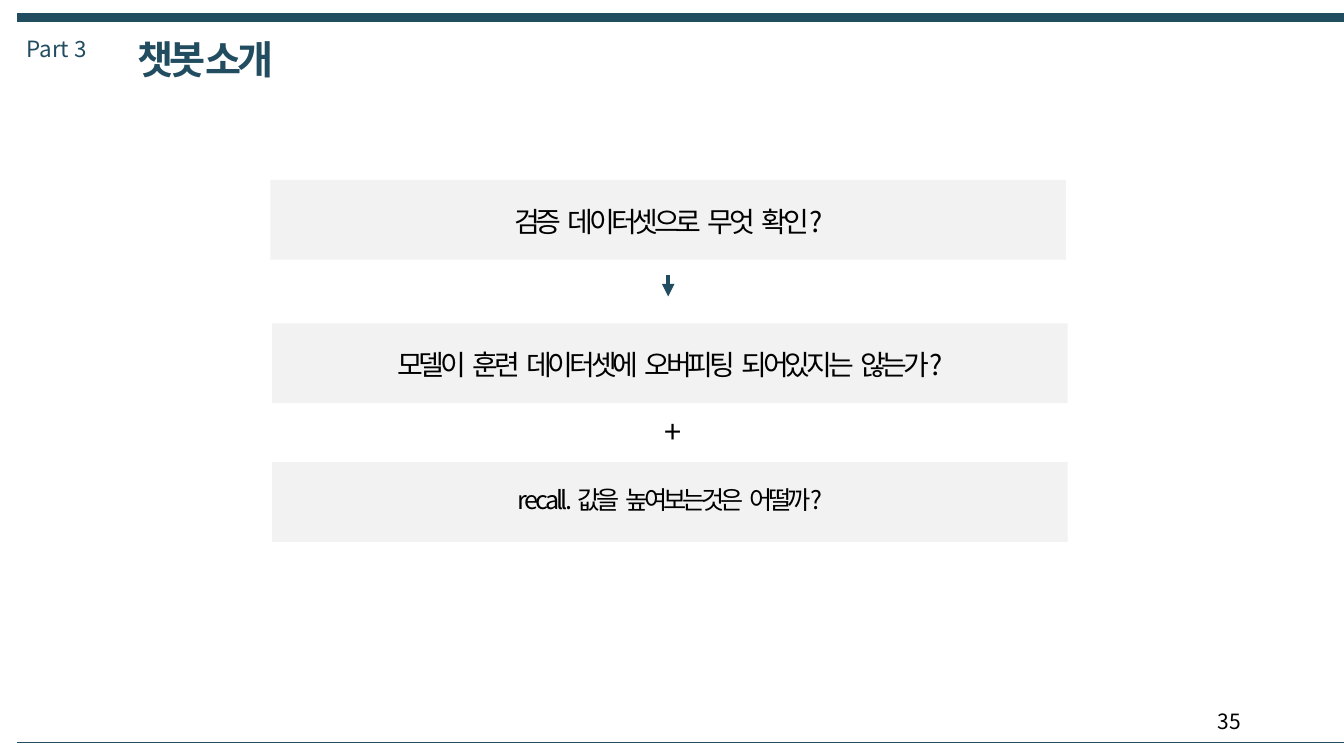
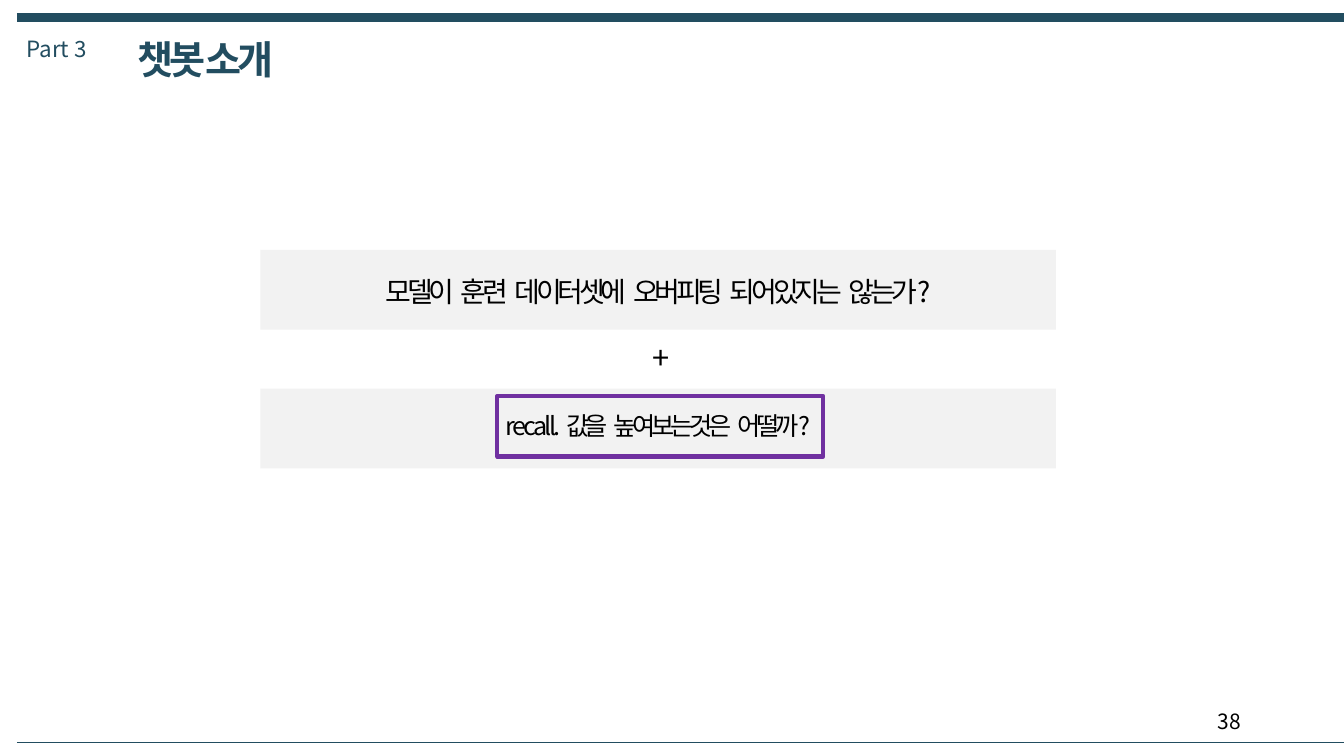
from dataclasses import dataclass
from typing import NamedTuple, Optional

import lxml.etree
import pptx
import pptx.dml.color
import pptx.enum.shapes
import pptx.enum.text
import pptx.oxml.ns
import pptx.slide
import pptx.util

COLUMNS, ROWS = 160, 90
CELL = pptx.util.Inches(1) // 12
ALIGN = pptx.enum.text.PP_ALIGN
ANCHOR = pptx.enum.text.MSO_ANCHOR


@dataclass(frozen=True)
class Theme:
    font: str = "Noto Sans CJK KR"
    teal: str = "224D60"
    panel: str = "F2F2F2"
    ink: str = "000000"
    purple: str = "7030A0"
    part_size: int = 16
    title_size: int = 28
    number_size: int = 15
    question_size: int = 20
    idea_size: int = 18
    plus_size: int = 22
    band: float = 6
    rule: float = 0.25
    stroke: float = 3
    tight: float = -3
    word_gap: float = -1.5


THEME = Theme()


class Frame(NamedTuple):
    """A rectangle in grid columns and rows."""
    left: float
    top: float
    width: float
    height: float


class Style(NamedTuple):
    size: int
    color: str = THEME.ink
    align: Optional[ALIGN] = None
    bold: bool = False
    tracking: float = 0
    gap: float = 0


class Panel(NamedTuple):
    text: str
    style: Style
    inset: float
    height: float


class Page(NamedTuple):
    number: int
    left: float
    top: float
    opening: bool
    highlight: bool


PART = Style(THEME.part_size, THEME.teal)
TITLE = Style(THEME.title_size, THEME.teal, bold=True, tracking=THEME.tight, gap=THEME.tight)
NUMBER = Style(THEME.number_size, align=ALIGN.RIGHT)
QUESTION = Style(THEME.question_size, align=ALIGN.CENTER, tracking=THEME.tight, gap=THEME.word_gap)
IDEA = QUESTION._replace(size=THEME.idea_size)
PLUS = Style(THEME.plus_size)

PANEL_WIDTH, PANEL_HEIGHT, PANEL_PITCH = 94.7, 9.5, 16.5
EDGE = 2
OPENING = Panel("검증 데이터셋으로 무엇 확인?", QUESTION, 2.3, 5.3)
PANELS = (
    Panel("모델이 훈련 데이터셋에 오버피팅 되어있지는 않는가?", QUESTION, 2.3, 5.3),
    Panel("recall. 값을 높여보는것은 어떨까?", IDEA, 2.05, 4.8),
)
PAGES = (
    Page(35, 32.4, 38.5, opening=True, highlight=False),
    Page(38, 31, 29.75, opening=False, highlight=True),
)


def cells(*lengths: float) -> list[pptx.util.Emu]:
    return [pptx.util.Emu(round(length * CELL)) for length in lengths]


def rgb(color: str) -> pptx.dml.color.RGBColor:
    return pptx.dml.color.RGBColor.from_string(color)


def add_span(para, text: str, style: Style, tracking: float) -> None:
    span = para.add_run()
    span.text = text
    formats = {"name": THEME.font, "size": pptx.util.Pt(style.size), "bold": style.bold}
    for name, value in formats.items():
        setattr(span.font, name, value)
    span.font.color.rgb = rgb(style.color)
    properties = span.font._element
    if tracking:
        properties.set("spc", str(round(tracking * 100)))
    east_asian = lxml.etree.SubElement(properties, pptx.oxml.ns.qn("a:ea"))
    east_asian.set("typeface", THEME.font)


def add_text(page: pptx.slide.Slide, frame: Frame, text: str, style: Style,
             wrap: bool = True, anchor: ANCHOR = ANCHOR.TOP, grow: bool = True) -> None:
    box = page.shapes.add_textbox(*cells(*frame))
    fit = pptx.enum.text.MSO_AUTO_SIZE
    formats = {"word_wrap": wrap, "vertical_anchor": anchor,
               "auto_size": fit.SHAPE_TO_FIT_TEXT if grow else fit.NONE}
    for name, value in formats.items():
        setattr(box.text_frame, name, value)
    para = box.text_frame.paragraphs[0]
    para.alignment = style.align
    if style.tracking == style.gap:
        add_span(para, text, style, style.tracking)
        return
    for index, word in enumerate(text.split(" ")):
        if index:
            add_span(para, " ", style, style.gap)
        tracking = style.tracking if not word.isascii() else style.tracking + 1
        add_span(para, word, style, tracking)


def add_line(page: pptx.slide.Slide, start: tuple[float, float], end: tuple[float, float],
             width: float, arrow: bool = False) -> None:
    line = page.shapes.add_connector(
        pptx.enum.shapes.MSO_CONNECTOR.STRAIGHT, *cells(*start, *end))
    line.line.color.rgb = rgb(THEME.teal)
    line.line.width = pptx.util.Pt(width)
    if arrow:
        tail = lxml.etree.SubElement(line.line._get_or_add_ln(), pptx.oxml.ns.qn("a:tailEnd"))
        tail.set("type", "triangle")
    lxml.etree.SubElement(line._element.spPr, pptx.oxml.ns.qn("a:effectLst"))


def add_rectangle(page: pptx.slide.Slide, frame: Frame,
                  fill: Optional[str] = None, outline: Optional[str] = None) -> None:
    box = page.shapes.add_shape(pptx.enum.shapes.MSO_SHAPE.RECTANGLE, *cells(*frame))
    box.shadow.inherit = False
    if fill:
        box.fill.solid()
        box.fill.fore_color.rgb = rgb(fill)
    else:
        box.fill.background()
    if outline:
        box.line.color.rgb = rgb(outline)
        box.line.width = pptx.util.Pt(THEME.stroke)
    else:
        box.line.fill.background()


def add_panel(page: pptx.slide.Slide, panel: Panel, left: float, top: float) -> None:
    add_rectangle(page, Frame(left, top, PANEL_WIDTH, PANEL_HEIGHT), fill=THEME.panel)
    add_text(page, Frame(left, top + panel.inset, PANEL_WIDTH, panel.height),
             panel.text, panel.style)


def add_furniture(page: pptx.slide.Slide, number: int) -> None:
    """Draw the band, headings, bottom rule and page number."""
    for row, width in ((2.1, THEME.band), (88.4, THEME.rule)):
        add_line(page, (EDGE, row), (COLUMNS, row), width)
    add_text(page, Frame(EDGE, 3.6, 9.6, 4.4), "Part 3", PART, wrap=False)
    add_text(page, Frame(15.2, 3.6, 19.8, 6.8), "챗봇 소개", TITLE, wrap=False)
    add_text(page, Frame(114.6, 83.4, 34.3, 4.8), str(number), NUMBER,
             anchor=ANCHOR.MIDDLE, grow=False)


def add_page(deck, content: Page) -> None:
    page = deck.slides.add_slide(deck.slide_layouts[6])
    add_furniture(page, content.number)
    left, top = content.left, content.top
    for index, panel in enumerate(PANELS):
        add_panel(page, panel, left, top + index * PANEL_PITCH)
    add_text(page, Frame(left + 45.5, top + 10, 4.6, 5.6), "+", PLUS)
    if content.opening:
        opening_left, opening_top = left - 0.2, top - 17.1
        add_panel(page, OPENING, opening_left, opening_top)
        center = opening_left + PANEL_WIDTH / 2
        add_line(page, (center, opening_top + 11.4), (center, opening_top + 13.9),
                 THEME.stroke, arrow=True)
    if content.highlight:
        add_rectangle(page, Frame(left + 28.2, top + PANEL_PITCH + 0.9, 38.8, 7.2),
                      outline=THEME.purple)


def main() -> None:
    deck = pptx.Presentation()
    deck.slide_width, deck.slide_height = cells(COLUMNS, ROWS)
    for content in PAGES:
        add_page(deck, content)
    deck.save("out.pptx")


if __name__ == "__main__":
    main()
